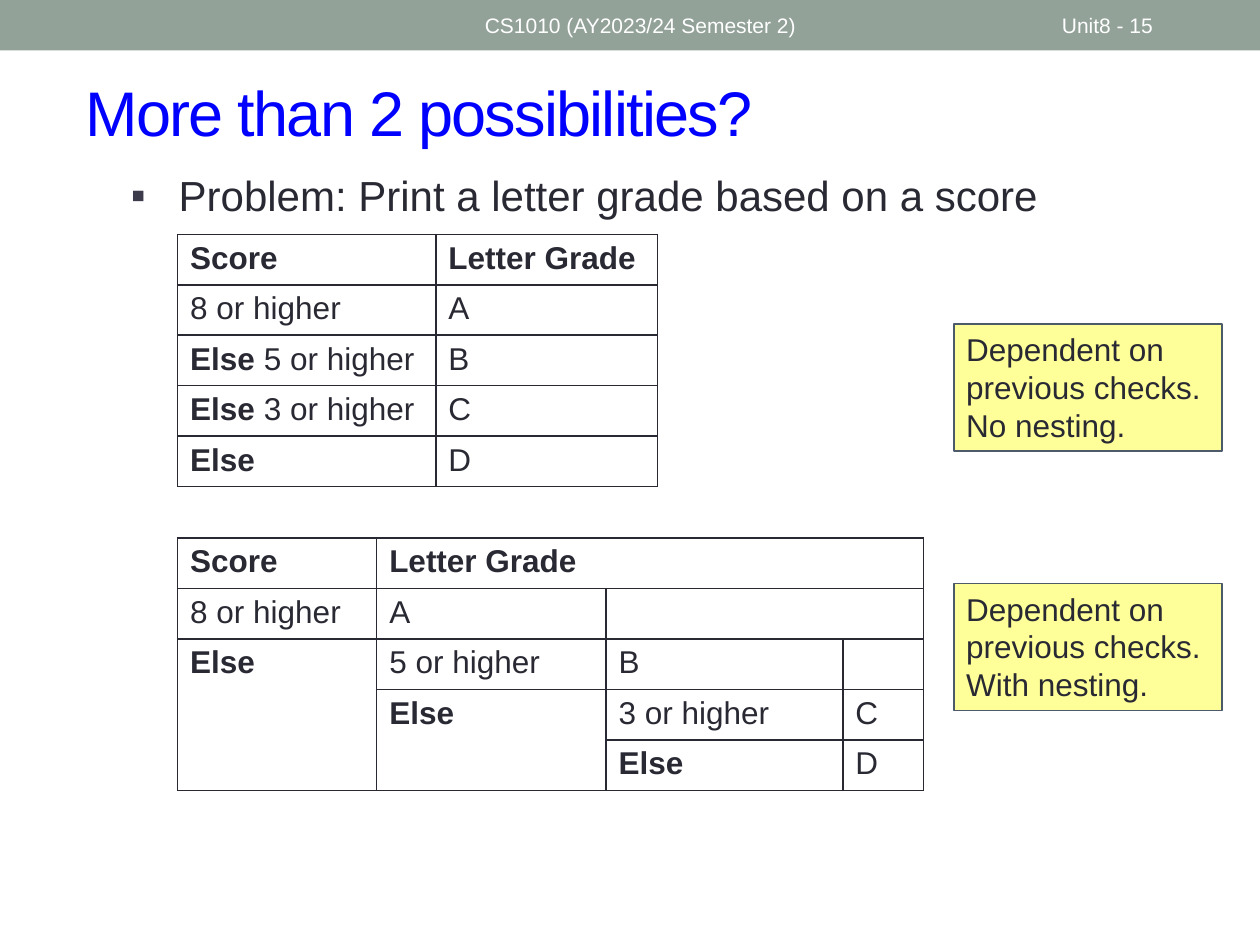
from lxml import etree
from pptx import Presentation
from pptx.dml.color import RGBColor
from pptx.enum.shapes import MSO_SHAPE
from pptx.enum.text import MSO_ANCHOR, MSO_AUTO_SIZE, PP_ALIGN
from pptx.oxml import parse_xml
from pptx.oxml.ns import nsdecls, qn
from pptx.util import Inches, Pt

FONT = "Arial"
COLORS = {
    "bar": "93A299", "title": "0000FF", "text": "292934", "bullet": "3B3B4B",
    "note": "FFFF99", "note_line": "4C5A6A", "white": "FFFFFF",
}
ROW_HEIGHT = 0.38


def rgb(name):
    return RGBColor.from_string(COLORS[name])


def style_runs(paragraph, size, color="text"):
    for run in paragraph.runs:
        run.font.name = FONT
        run.font.size = Pt(size)
        run.font.color.rgb = rgb(color)


def add_rectangle(slide, box, fill):
    shape = slide.shapes.add_shape(MSO_SHAPE.RECTANGLE, *map(Inches, box))
    shape.shadow.inherit = False
    shape.fill.solid()
    shape.fill.fore_color.rgb = rgb(fill)
    shape.line.fill.background()
    return shape


def add_text(slide, box, text, size, color, anchor=MSO_ANCHOR.MIDDLE):
    text_frame = slide.shapes.add_textbox(*map(Inches, box)).text_frame
    text_frame.word_wrap = True
    text_frame.vertical_anchor = anchor
    text_frame.text = text
    paragraph = text_frame.paragraphs[0]
    style_runs(paragraph, size, color)
    return paragraph


def add_header(slide, left, top, width, height):
    add_rectangle(slide, (left, top, width, height), "bar")
    for offset, text_width, text in (
        (8.33, 1.17, "Unit8 - 15"),
        (3.75, 4.5, "CS1010 (AY2023/24 Semester 2)"),
    ):
        box = (left + offset, top + 0.02, text_width, height - 0.04)
        add_text(slide, box, text, 12, "white")


def add_title(slide, box, text):
    paragraph = add_text(slide, box, text, 36, "title")
    paragraph.runs[0].font._element.set("spc", "-100")  # tighter letters


def add_bullet(slide, box, text):
    paragraph = add_text(slide, box, text, 24, "text", MSO_ANCHOR.TOP)
    paragraph.space_before = Pt(6)
    properties = paragraph._p.get_or_add_pPr()
    properties.set("marL", str(Inches(0.68)))
    properties.set("indent", str(Inches(-0.38)))
    color = etree.SubElement(properties, qn("a:buClr"))
    etree.SubElement(color, qn("a:srgbClr"), val=COLORS["bullet"])
    etree.SubElement(properties, qn("a:buFont"), typeface=FONT)
    etree.SubElement(properties, qn("a:buChar"), char="▪")


def style_cell(cell):
    properties = cell._tc.get_or_add_tcPr()
    for side in ("lnL", "lnR", "lnT", "lnB"):
        properties.append(parse_xml(
            f'<a:{side} {nsdecls("a")} w="{Pt(1)}"><a:solidFill>'
            f'<a:srgbClr val="{COLORS["text"]}"/></a:solidFill></a:{side}>'))
    cell.fill.solid()
    cell.fill.fore_color.rgb = rgb("white")


def write_cell(cell, text, header):
    paragraph = cell.text_frame.paragraphs[0]
    # Headings and the word "Else" are bold
    bold = text if header else "Else" if text.startswith("Else") else ""
    for part, is_bold in ((bold, True), (text[len(bold):], False)):
        if part:
            run = paragraph.add_run()
            run.text = part
            run.font.bold = is_bold
    style_runs(paragraph, 18)


def add_grade_table(slide, left, top, widths, rows, merges=()):
    box = (left, top, sum(widths), ROW_HEIGHT * len(rows))
    table = slide.shapes.add_table(
        len(rows), len(widths), *map(Inches, box)).table
    table.first_row = table.horz_banding = False
    for column, width in zip(table.columns, widths):
        column.width = Inches(width)
    for row_index, row in enumerate(rows):
        table.rows[row_index].height = Inches(ROW_HEIGHT)
        for column_index, text in enumerate(row):
            cell = table.cell(row_index, column_index)
            style_cell(cell)
            if text:
                write_cell(cell, text, row_index == 0)
    for first, last in merges:
        table.cell(*first).merge(table.cell(*last))


def add_note(slide, box, lines):
    shape = add_rectangle(slide, box, "note")
    shape.line.color.rgb = rgb("note_line")
    shape.line.width = Pt(1)
    text_frame = shape.text_frame
    text_frame.word_wrap = True
    text_frame.auto_size = MSO_AUTO_SIZE.SHAPE_TO_FIT_TEXT
    text_frame.vertical_anchor = MSO_ANCHOR.TOP
    text_frame.text = "\n".join(lines)
    for paragraph in text_frame.paragraphs:
        paragraph.alignment = PP_ALIGN.LEFT
        style_runs(paragraph, 18)


def main():
    presentation = Presentation()
    presentation.slide_width = Inches(10)
    presentation.slide_height = Inches(7.5)
    slide = presentation.slides.add_slide(presentation.slide_layouts[6])

    add_header(slide, 0, 0, 10, 0.4)
    add_title(slide, (0.58, 0.42, 9.17, 0.92), "More than 2 possibilities?")
    add_bullet(slide, (0.64, 1.3, 9, 3.7),
               "Problem: Print a letter grade based on a score")

    # Flat checks
    add_grade_table(slide, 1.41, 1.86, (2.05, 1.76), (
        ("Score", "Letter Grade"),
        ("8 or higher", "A"),
        ("Else 5 or higher", "B"),
        ("Else 3 or higher", "C"),
        ("Else", "D"),
    ))
    # Nested checks
    add_grade_table(slide, 1.41, 4.27, (1.58, 1.82, 1.88, 0.64), (
        ("Score", "Letter Grade", "", ""),
        ("8 or higher", "A", "", ""),
        ("Else", "5 or higher", "B", ""),
        ("", "Else", "3 or higher", "C"),
        ("", "", "Else", "D"),
    ), merges=(((0, 1), (0, 3)), ((1, 2), (1, 3)),
               ((2, 0), (4, 0)), ((3, 1), (4, 1))))

    for top, ending in ((2.57, "No nesting."), (4.63, "With nesting.")):
        add_note(slide, (7.57, top, 2.13, 1.01),
                 ("Dependent on previous checks.", ending))

    presentation.save("out.pptx")


if __name__ == "__main__":
    main()
